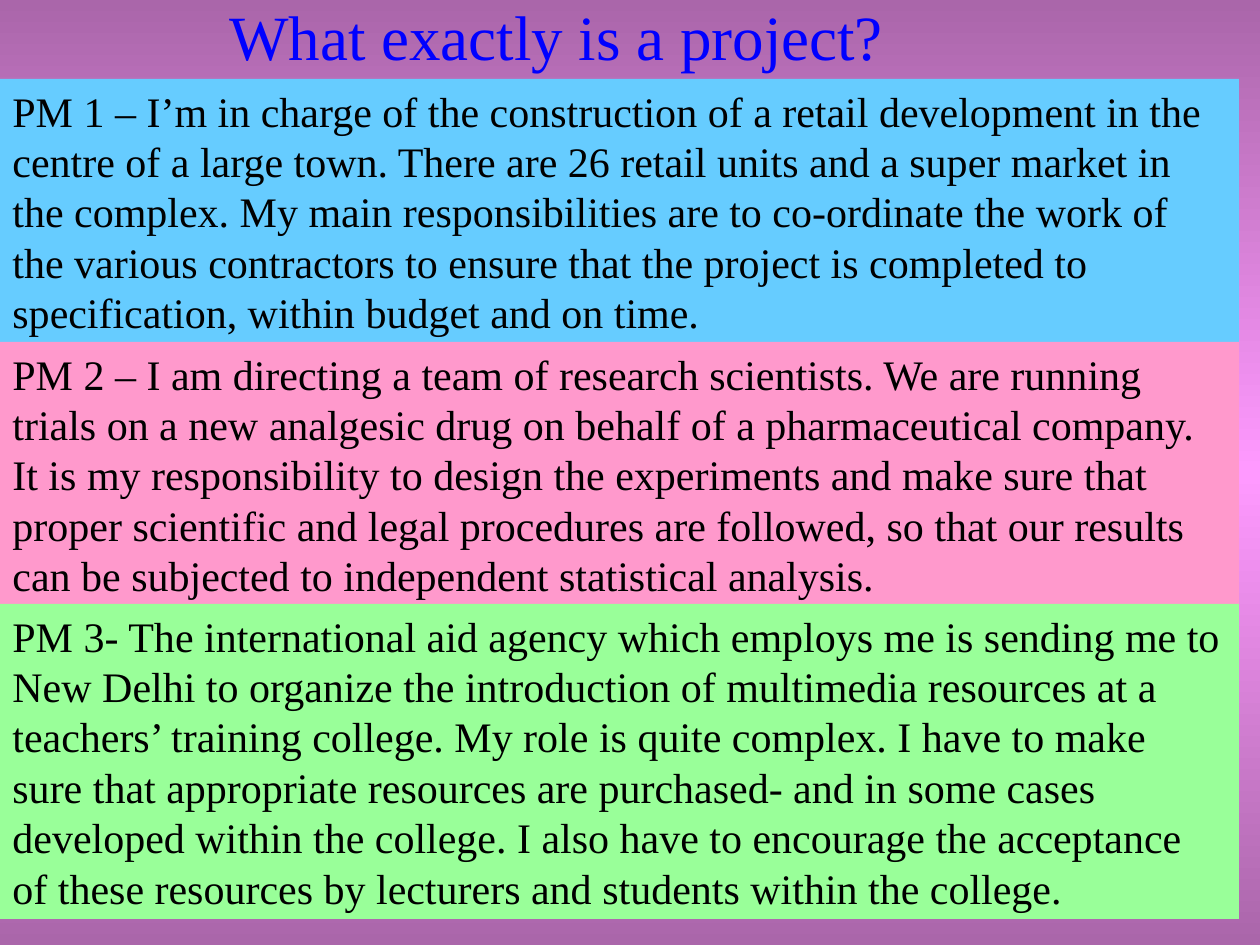
from copy import deepcopy
from pptx import Presentation
from pptx.dml.color import RGBColor
from pptx.enum.shapes import MSO_SHAPE
from pptx.enum.text import MSO_ANCHOR, PP_ALIGN
from pptx.oxml.ns import qn
from pptx.util import Pt

PX = 914400 / 126
FONT = "Times New Roman"
HUES = {
    "edge": "AA66AA", "glow": "FF99FF", "title": "0000FF", "ink": "000000",
    "blue": "66CCFF", "pink": "FF99CC", "green": "99FF99",
}


def place(shape, *box):
    shape.left, shape.top, shape.width, shape.height = [round(n * PX) for n in box]


def write(para, text, size, hue):
    run = para.add_run()
    run.text = text
    run.font.name = FONT
    run.font.size = Pt(size)
    run.font.color.rgb = RGBColor.from_string(HUES[hue])


deck = Presentation()
deck.slide_width = round(1260 * PX)
deck.slide_height = round(945 * PX)
slide = deck.slides.add_slide(deck.slide_layouts[5])

back = slide.background.fill
back.gradient()
back.gradient_angle = 270
stops = next(slide.element.iter(qn("a:gsLst")))
stops.insert(1, deepcopy(stops[0]))
for stop, (spot, hue) in zip(back.gradient_stops, [(0, "edge"), (0.5, "glow"), (1, "edge")]):
    stop.position = spot
    stop.color.rgb = RGBColor.from_string(HUES[hue])

title = slide.shapes.title
place(title, 21, 4, 1071, 63)
frame = title.text_frame
frame.vertical_anchor = MSO_ANCHOR.MIDDLE
frame.paragraphs[0].alignment = PP_ALIGN.CENTER
write(frame.paragraphs[0], "What exactly is a project?", 36, "title")

cards = [
    (79, 264, "blue",
     "PM 1 – I’m in charge of the construction of a retail development in the "
     "centre of a large town. There are 26 retail units and a super market in "
     "the complex. My main responsibilities are to co-ordinate the work of "
     "the various contractors to ensure that the project is completed to "
     "specification, within budget and on time."),
    (342, 264, "pink",
     "PM 2 – I am directing a team of research scientists. We are running "
     "trials on a new analgesic drug on behalf of a pharmaceutical company. "
     "It is my responsibility to design the experiments and make sure that "
     "proper scientific and legal procedures are followed, so that our results "
     "can be subjected to independent statistical analysis."),
    (604, 315, "green",
     "PM 3- The international aid agency which employs me is sending me to "
     "New Delhi to organize the introduction of multimedia resources at a "
     "teachers’ training college. My role is quite complex. I have to make "
     "sure that appropriate resources are purchased- and in some cases "
     "developed within the college. I also have to encourage the acceptance "
     "of these resources by lecturers and students within the college."),
]
for top, high, hue, text in cards:
    card = slide.shapes.add_shape(MSO_SHAPE.RECTANGLE, 0, 0, 0, 0)
    place(card, 0, top, 1239, high)
    card.shadow.inherit = False
    card.fill.solid()
    card.fill.fore_color.rgb = RGBColor.from_string(HUES[hue])
    card.line.fill.background()
    frame = card.text_frame
    frame.word_wrap = True
    frame.vertical_anchor = MSO_ANCHOR.TOP
    frame.paragraphs[0].alignment = PP_ALIGN.LEFT
    write(frame.paragraphs[0], text, 24, "ink")

deck.save("out.pptx")
